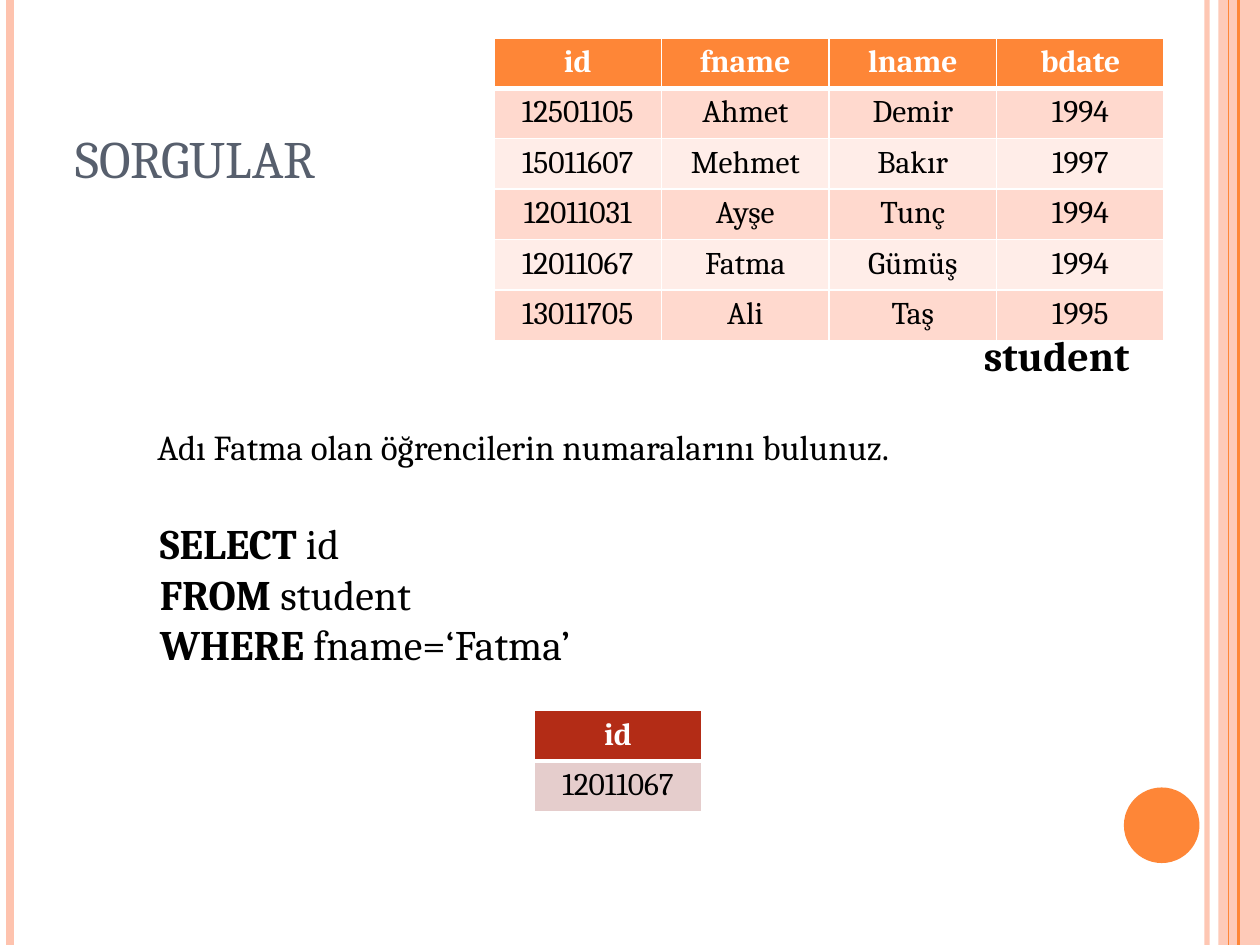
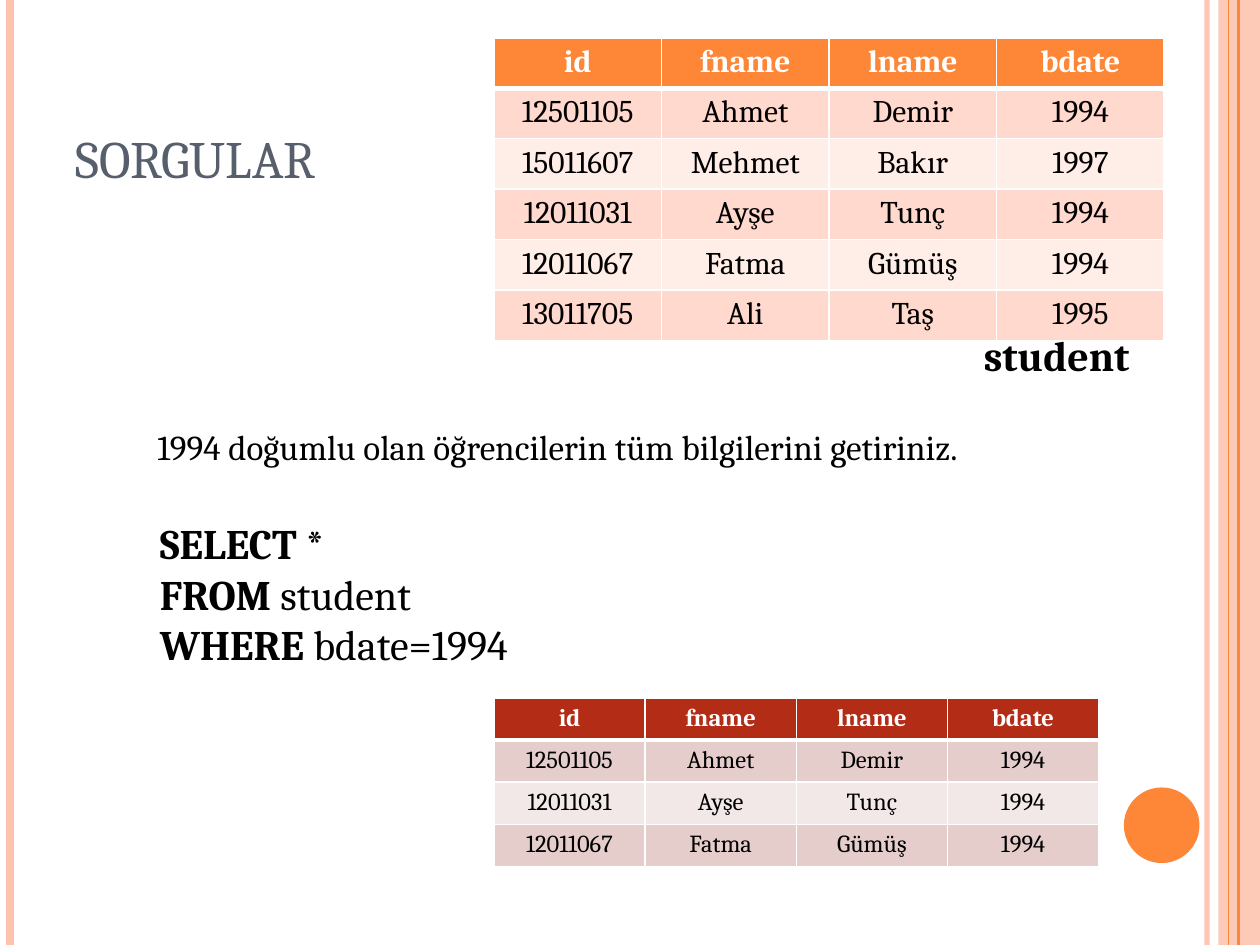
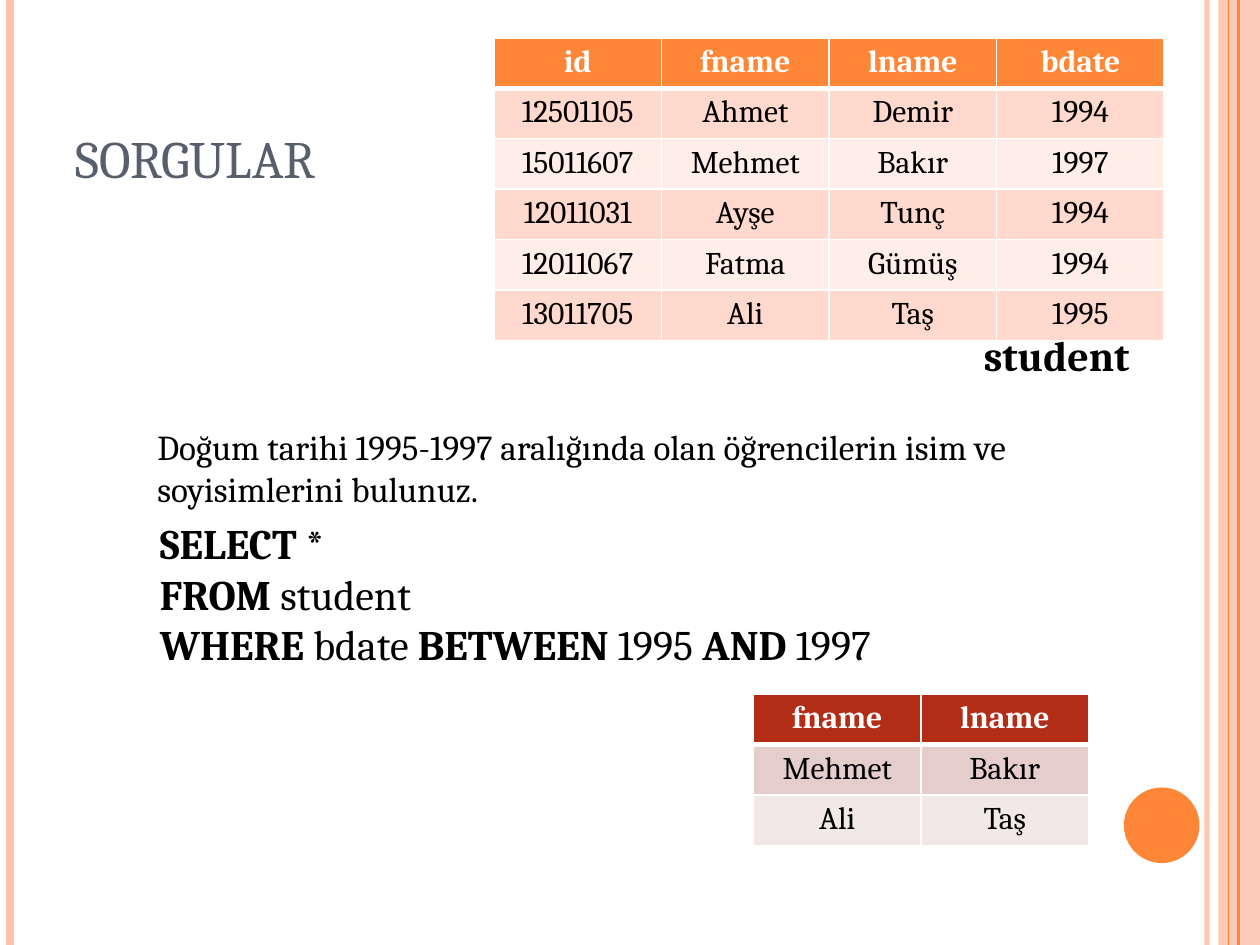
from lxml.etree import SubElement
from pptx import Presentation
from pptx.dml.color import RGBColor
from pptx.enum.shapes import MSO_CONNECTOR, MSO_SHAPE
from pptx.enum.text import MSO_ANCHOR, PP_ALIGN
from pptx.oxml.ns import qn
from pptx.util import Inches, Pt

ORANGE = RGBColor(0xFE, 0x86, 0x37)
PEACH = RGBColor(0xFE, 0xC3, 0xAE)
RED = RGBColor(0xB3, 0x2C, 0x16)
SLATE = RGBColor(0x57, 0x5F, 0x6D)
BLACK = RGBColor(0, 0, 0)
WHITE = RGBColor(0xFF, 0xFF, 0xFF)
ORANGE_BANDS = RGBColor(0xFF, 0xD9, 0xCE), RGBColor(0xFF, 0xED, 0xE8)
RED_BANDS = RGBColor(0xE5, 0xCD, 0xCC), RGBColor(0xF2, 0xE8, 0xE8)
FONT = "Cambria"
PAGE_HEIGHT = 7.5

# x, colour, width in points, opacity in percent
RULES = [
    (9.58, PEACH, 3, 93),
    (0.08, PEACH, 4.5, 100),
    (9.83, ORANGE, 1.5, 100),
    (9.75, ORANGE, 0.75, 100),
]

STUDENTS = [
    ("id", "fname", "lname", "bdate"),
    ("12501105", "Ahmet", "Demir", "1994"),
    ("15011607", "Mehmet", "Bakır", "1997"),
    ("12011031", "Ayşe", "Tunç", "1994"),
    ("12011067", "Fatma", "Gümüş", "1994"),
    ("13011705", "Ali", "Taş", "1995"),
]

# question, query (keywords between **), result rows, result place, result size
QUERIES = [
    ("Adı Fatma olan öğrencilerin numaralarını bulunuz.",
     "**SELECT** id\n**FROM** student\n**WHERE** fname=‘Fatma’",
     [("id",), ("12011067",)],
     (4.24, 5.64, 1.33, 0.8), 18),
    ("1994 doğumlu olan öğrencilerin tüm bilgilerini getiriniz.",
     "**SELECT** *\n**FROM** student\n**WHERE** bdate=1994",
     [STUDENTS[0]] + [row for row in STUDENTS if row[3] == "1994"],
     (3.92, 5.54, 4.8, 1.33), 14),
    ("Doğum tarihi 1995-1997 aralığında olan öğrencilerin isim ve "
     "soyisimlerini bulunuz.",
     "**SELECT** *\n**FROM** student\n"
     "**WHERE** bdate **BETWEEN** 1995 **AND** 1997",
     [row[1:3] for row in STUDENTS if row[3] in ("bdate", "1995", "1997")],
     (5.98, 5.51, 2.66, 1.19), 18),
]


def write(slide, text, place, size, color=BLACK, wrap=True, anchor=MSO_ANCHOR.TOP):
    """Add a text box; parts of the text between ** are bold."""
    frame = slide.shapes.add_textbox(*map(Inches, place)).text_frame
    frame.word_wrap = wrap
    frame.vertical_anchor = anchor
    for number, line in enumerate(text.split("\n")):
        paragraph = frame.add_paragraph() if number else frame.paragraphs[0]
        for part, words in enumerate(line.split("**")):
            if words:
                run = paragraph.add_run()
                run.text = words
                run.font.name = FONT
                run.font.size = Pt(size)
                run.font.bold = part % 2 == 1
                run.font.color.rgb = color


def add_relation(slide, rows, place, size, head_color, bands):
    """Add a table with a coloured head, banded rows and white borders."""
    table = slide.shapes.add_table(len(rows), len(rows[0]), *map(Inches, place)).table
    for r, row in enumerate(rows):
        for c, value in enumerate(row):
            cell = table.cell(r, c)
            cell.text = value
            paragraph = cell.text_frame.paragraphs[0]
            paragraph.alignment = PP_ALIGN.CENTER
            font = paragraph.runs[0].font
            font.name = FONT
            font.size = Pt(size)
            font.bold = r == 0
            font.color.rgb = BLACK if r else WHITE
            properties = cell._tc.get_or_add_tcPr()
            for side in ("lnL", "lnR", "lnT", "lnB"):
                thick = (r == 0 and side == "lnB") or (r == 1 and side == "lnT")
                border = SubElement(properties, qn("a:" + side), w=str(Pt(3 if thick else 1)))
                paint = SubElement(border, qn("a:solidFill"))
                SubElement(paint, qn("a:srgbClr"), val=str(WHITE))
            cell.fill.solid()
            cell.fill.fore_color.rgb = bands[(r - 1) % 2] if r else head_color


deck = Presentation()
deck.slide_width = Inches(10)
deck.slide_height = Inches(PAGE_HEIGHT)

for question, query, result, result_place, result_size in QUERIES:
    slide = deck.slides.add_slide(deck.slide_layouts[6])

    side_band = slide.shapes.add_shape(
        MSO_SHAPE.RECTANGLE, Inches(9.67), 0, Inches(0.33), Inches(PAGE_HEIGHT))
    disc = slide.shapes.add_shape(
        MSO_SHAPE.OVAL, Inches(8.92), Inches(6.25), Inches(0.6), Inches(0.6))
    for ornament, color in ((side_band, PEACH), (disc, ORANGE)):
        ornament.shadow.inherit = False
        ornament.fill.solid()
        ornament.fill.fore_color.rgb = color
        ornament.line.fill.background()
    band_color = side_band.fill._xPr.find(".//" + qn("a:srgbClr"))
    SubElement(band_color, qn("a:alpha"), val="87000")

    for x, color, width, opacity in RULES:
        rule = slide.shapes.add_connector(
            MSO_CONNECTOR.STRAIGHT, Inches(x), 0, Inches(x), Inches(PAGE_HEIGHT))
        rule.line.color.rgb = color
        rule.line.width = Pt(width)
        rule_properties = rule._element.spPr
        if opacity < 100:
            rule_color = rule_properties.find(".//" + qn("a:srgbClr"))
            SubElement(rule_color, qn("a:alpha"), val=str(opacity * 1000))
        SubElement(rule_properties, qn("a:effectLst"))

    write(slide, "SORGULAR", (0.5, 0.3, 8.17, 1.25), 30, color=SLATE,
          anchor=MSO_ANCHOR.BOTTOM)
    add_relation(slide, STUDENTS, (3.92, 0.3, 5.32, 2.33), 18, ORANGE, ORANGE_BANDS)
    write(slide, "**student**", (7.71, 2.57, 1.54, 0.5), 24, wrap=False)
    write(slide, query, (1.17, 4.06, 8.07, 1.31), 24)
    write(slide, question, (1.15, 3.33, 7.95, 0.77), 20)
    add_relation(slide, result, result_place, result_size, RED, RED_BANDS)

deck.save("out.pptx")
